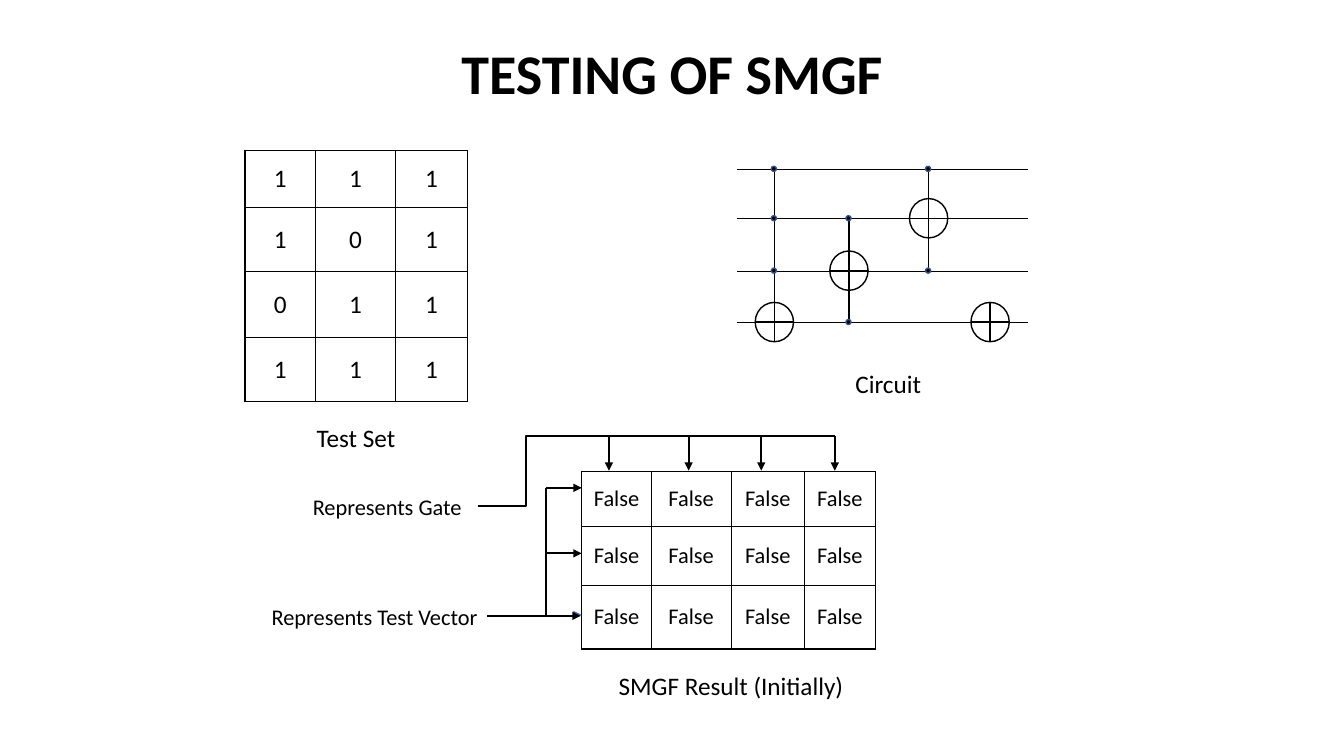
from dataclasses import dataclass
from itertools import pairwise

from lxml import etree
from pptx import Presentation
from pptx import util as u
from pptx.dml.color import RGBColor
from pptx.enum import shapes, text
from pptx.oxml import ns

PX = 9144  # EMU in one px, 100 px to the inch
FONT = "Calibri"
COLORS = {"ink": "000000", "paper": "FFFFFF", "dot_edge": "325491", "accent": "4472C4"}
GATE_W, GATE_H, DOT = 38, 39, 5
WIRE_LEFT, WIRE_RIGHT = 731, 1020
WIRES = [168, 217, 269, 320]


@dataclass
class Label:
    words: str
    left: int
    top: int
    width: int
    height: int
    size: int = 18
    bold: bool = False


@dataclass
class Grid:
    column_edges: list[int]
    row_edges: list[int]
    rows: list[list[str]]
    size: int


@dataclass
class Line:
    x1: int
    y1: int
    x2: int
    y2: int
    weight: float = 1.5
    arrow: bool = False
    color: str = "ink"


@dataclass
class Gate:
    """A NOT gate on one wire, steered by the control wires (wire indexes)."""
    x: int
    target: int
    controls: list[int]


LABELS = [
    Label("TESTING OF SMGF", 255, 33, 823, 77, 40, True),
    Label("Test Set", 274, 414, 158, 40),
    Label("Circuit", 802, 361, 158, 40),
    Label("SMGF Result (Initially)", 594, 660, 262, 40),
    Label("Represents Gate", 295, 484, 178, 37, 16),
    Label("Represents Test Vector", 252, 593, 239, 37, 16),
]
TEST_SET = Grid([243, 313, 392, 464], [149, 206, 269, 335, 398],
                [list("111"), list("101"), list("011"), list("111")], 18)
SMGF_RESULT = Grid([577, 646, 725, 798, 868], [468, 522, 581, 644],
                   [["False"] * 4 for _ in range(3)], 16)
GATES = [Gate(768, 3, [0, 1, 2]), Gate(842, 2, [1, 3]),
         Gate(921, 1, [0, 2]), Gate(982, 3, [])]
GATE_ARROWS = [Line(x, 433, x, 467, arrow=True) for x in (604, 683, 755, 828)]
VECTOR_ARROWS = [
    Line(542, 484, 542, 611),
    Line(542, 484, 577, 484, arrow=True),
    Line(542, 549, 577, 549, arrow=True),
    Line(542, 610, 577, 610, 0.5, True, "accent"),
    Line(483, 611, 576, 611, arrow=True),
]


def px(length: int) -> u.Emu:
    return u.Emu(length * PX)


def rgb(name: str) -> RGBColor:
    return RGBColor.from_string(COLORS[name])


def style_paragraph(paragraph, size: int, bold: bool = False) -> None:
    paragraph.alignment = text.PP_ALIGN.CENTER
    font = paragraph.font
    font.name, font.size, font.bold = FONT, u.Pt(size), bold
    font.color.rgb = rgb("ink")


def draw_label(slide, label: Label) -> None:
    box = slide.shapes.add_textbox(px(label.left), px(label.top), px(label.width), px(label.height))
    frame = box.text_frame
    frame.word_wrap = True
    frame.auto_size = text.MSO_AUTO_SIZE.SHAPE_TO_FIT_TEXT
    frame.text = label.words
    style_paragraph(frame.paragraphs[0], label.size, label.bold)


def add_border(cell, side: str, weight: float) -> None:
    properties = cell._tc.get_or_add_tcPr()
    border = etree.SubElement(properties, ns.qn(f"a:ln{side}"), w=str(u.Pt(weight)))
    fill = etree.SubElement(border, ns.qn("a:solidFill"))
    etree.SubElement(fill, ns.qn("a:srgbClr"), val=COLORS["ink"])


def draw_grid(slide, grid: Grid) -> None:
    widths = [b - a for a, b in pairwise(grid.column_edges)]
    heights = [b - a for a, b in pairwise(grid.row_edges)]
    table = slide.shapes.add_table(
        len(heights), len(widths), px(grid.column_edges[0]), px(grid.row_edges[0]),
        px(sum(widths)), px(sum(heights))).table
    table.first_row = table.horz_banding = False
    for column, width in zip(table.columns, widths):
        column.width = px(width)
    for row, height in zip(table.rows, heights):
        row.height = px(height)
    last_row, last_column = len(heights) - 1, len(widths) - 1
    for r, values in enumerate(grid.rows):
        for c, value in enumerate(values):
            cell = table.cell(r, c)
            cell.text = value
            cell.vertical_anchor = text.MSO_ANCHOR.MIDDLE
            cell.margin_left = cell.margin_right = cell.margin_top = cell.margin_bottom = 0
            style_paragraph(cell.text_frame.paragraphs[0], grid.size)
            outer = {"L": c == 0, "R": c == last_column, "T": r == 0, "B": r == last_row}
            for side, is_outer in outer.items():
                add_border(cell, side, 1 if is_outer else 0.5)
            cell.fill.solid()
            cell.fill.fore_color.rgb = rgb("paper")


def draw_line(slide, line: Line, kind=shapes.MSO_CONNECTOR.STRAIGHT):
    connector = slide.shapes.add_connector(kind, px(line.x1), px(line.y1), px(line.x2), px(line.y2))
    connector.line.width = u.Pt(line.weight)
    connector.line.color.rgb = rgb(line.color)
    if line.arrow:
        etree.SubElement(connector.line._get_or_add_ln(), ns.qn("a:tailEnd"), type="triangle")
    etree.SubElement(connector._element.spPr, ns.qn("a:effectLst"))
    return connector


def draw_gate_bracket(slide) -> None:
    """Elbow from the gate label up and along the tops of the gate arrows."""
    bracket = draw_line(slide, Line(474, 502, 828, 433), shapes.MSO_CONNECTOR.ELBOW)
    guides = bracket._element.spPr.find(ns.qn("a:prstGeom")).find(ns.qn("a:avLst"))
    etree.SubElement(guides, ns.qn("a:gd"), name="adj1", fmla="val 13600")


def draw_gate(slide, gate: Gate) -> None:
    y = WIRES[gate.target]
    target = slide.shapes.add_shape(shapes.MSO_SHAPE.FLOWCHART_OR, px(gate.x - 19), px(y - 20),
                                    px(GATE_W), px(GATE_H))
    target.shadow.inherit = False
    target.fill.background()
    target.line.color.rgb = rgb("ink")
    target.line.width = u.Pt(1)
    if gate.controls:
        ends = [WIRES[i] for i in (gate.target, *gate.controls)]
        draw_line(slide, Line(gate.x, max(ends), gate.x, min(ends), 1))
    for control in gate.controls:
        dot = slide.shapes.add_shape(shapes.MSO_SHAPE.OVAL, px(gate.x - 3),
                                     px(WIRES[control] - 3), px(DOT), px(DOT))
        dot.shadow.inherit = False
        dot.fill.solid()
        dot.fill.fore_color.rgb = rgb("ink")
        dot.line.color.rgb = rgb("dot_edge")
        dot.line.width = u.Pt(1)


def main() -> None:
    deck = Presentation()
    deck.slide_width, deck.slide_height = px(1333), px(750)
    slide = deck.slides.add_slide(deck.slide_layouts[6])
    for grid in (SMGF_RESULT, TEST_SET):
        draw_grid(slide, grid)
    draw_gate_bracket(slide)
    for line in GATE_ARROWS + VECTOR_ARROWS:
        draw_line(slide, line)
    for y in WIRES:
        draw_line(slide, Line(WIRE_LEFT, y, WIRE_RIGHT, y, 0.5))
    for gate in GATES:
        draw_gate(slide, gate)
    for label in LABELS:
        draw_label(slide, label)
    deck.save("out.pptx")


if __name__ == "__main__":
    main()
